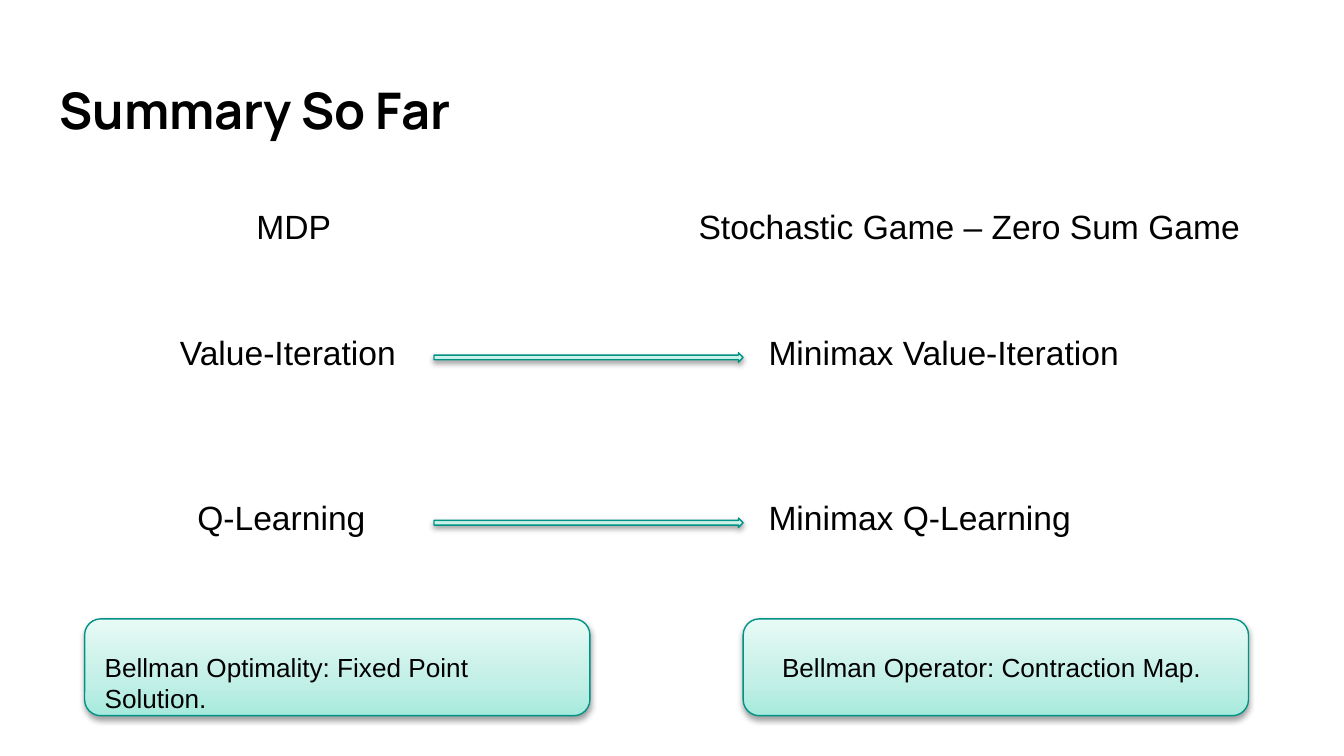
import lxml.etree
import pptx
import pptx.dml.color
import pptx.enum.shapes
import pptx.enum.text
import pptx.oxml.ns
import pptx.util

RGBColor = pptx.dml.color.RGBColor
SHAPE = pptx.enum.shapes.MSO_SHAPE
ANCHOR = pptx.enum.text.MSO_ANCHOR
qn = pptx.oxml.ns.qn

BLACK = RGBColor(0x00, 0x00, 0x00)
TEAL = RGBColor(0x00, 0x93, 0x85)
MINT = RGBColor(0xA6, 0xEA, 0xDD)
SOFT_MINT = RGBColor(0xC2, 0xEF, 0xE6)
PALE_MINT = RGBColor(0xE7, 0xFA, 0xF6)

CELL = pptx.util.Inches(0.1)
COLUMNS, ROWS = 100, 56.25


def cells(*values):
    return [round(v * CELL) for v in values]


def add_text(tf, text, size=18, font="Arial", bold=False, color=BLACK):
    r = tf.paragraphs[0].add_run()
    r.text = text
    r.font.size = pptx.util.Pt(size)
    r.font.name = font
    r.font.bold = bold
    r.font.color.rgb = color


def add_child(parent, tag, **attributes):
    return lxml.etree.SubElement(parent, qn(tag), {k: str(v) for k, v in attributes.items()})


class SlideBuilder:
    stops = ((0, MINT), (35, SOFT_MINT), (100, PALE_MINT))
    line_color = TEAL
    line_width = pptx.util.Pt(0.75)

    def __init__(self, prs):
        self.s = prs.slides.add_slide(prs.slide_layouts[6])

    def text(self, text, left, top, width, height=4, inset=None, **style):
        sp = self.s.shapes.add_textbox(*cells(left, top, width, height))
        tf = sp.text_frame
        tf.word_wrap = True
        if inset is not None:
            tf.margin_left = tf.margin_right = tf.margin_top = tf.margin_bottom = cells(inset)[0]
            tf.vertical_anchor = ANCHOR.MIDDLE
        add_text(tf, text, **style)

    def shape(self, kind, left, top, width, height):
        sp = self.s.shapes.add_shape(kind, *cells(left, top, width, height))
        sp.fill.gradient()
        sp.fill.gradient_angle = 90
        stop_list = sp._element.spPr.find(".//" + qn("a:gsLst"))
        for stop in list(stop_list):
            stop_list.remove(stop)
        for position, color in self.stops:
            stop = add_child(stop_list, "a:gs", pos=position * 1000)
            add_child(stop, "a:srgbClr", val=color)
        sp.line.color.rgb = self.line_color
        sp.line.width = self.line_width
        self.shadow(sp)

    def shadow(self, sp):
        sp.shadow.inherit = False
        effects = sp._element.spPr.find(qn("a:effectLst"))
        outer = add_child(effects, "a:outerShdw", blurRad=pptx.util.Pt(3.1),
                          dist=pptx.util.Pt(1.6), dir=90 * 60000, rotWithShape=0)
        color = add_child(outer, "a:srgbClr", val=BLACK)
        add_child(color, "a:alpha", val=38000)

    def arrow(self, top):
        self.shape(SHAPE.RIGHT_ARROW, 32.3, top, 23, 0.7)

    def panel(self, left):
        self.shape(SHAPE.ROUNDED_RECTANGLE, left, 46.05, 37.6, 7.2)


def main():
    prs = pptx.Presentation()
    prs.slide_width, prs.slide_height = cells(COLUMNS, ROWS)
    slide = SlideBuilder(prs)

    slide.text("Summary So Far", 3.45, 4.75, 93.2, 6.8, inset=1, size=27, font="Manrope", bold=True)
    slide.text("MDP", 18.1, 14.85, 8.5)
    slide.text("Stochastic Game – Zero Sum Game", 51, 14.85, 43)

    methods = (
        ("Value-Iteration", 12.4, 19.9, "Minimax Value-Iteration", 30, 24.2),
        ("Q-Learning", 13.7, 14.5, "Minimax Q-Learning", 25.7, 36.5),
    )
    for method, left, width, minimax, minimax_width, top in methods:
        slide.text(method, left, top, width)
        slide.text(minimax, 56.2, top, minimax_width)
        slide.arrow(top + 2.05)

    results = (
        (6.3, "Bellman Optimality: Fixed Point Solution.", 6.8, 37.1),
        (55.3, "Bellman Operator: Contraction Map.", 57.2, 33.9),
    )
    for panel_left, result, left, width in results:
        slide.panel(panel_left)
        slide.text(result, left, 47.95, width, 3.4, size=14)

    prs.save("out.pptx")


if __name__ == "__main__":
    main()
